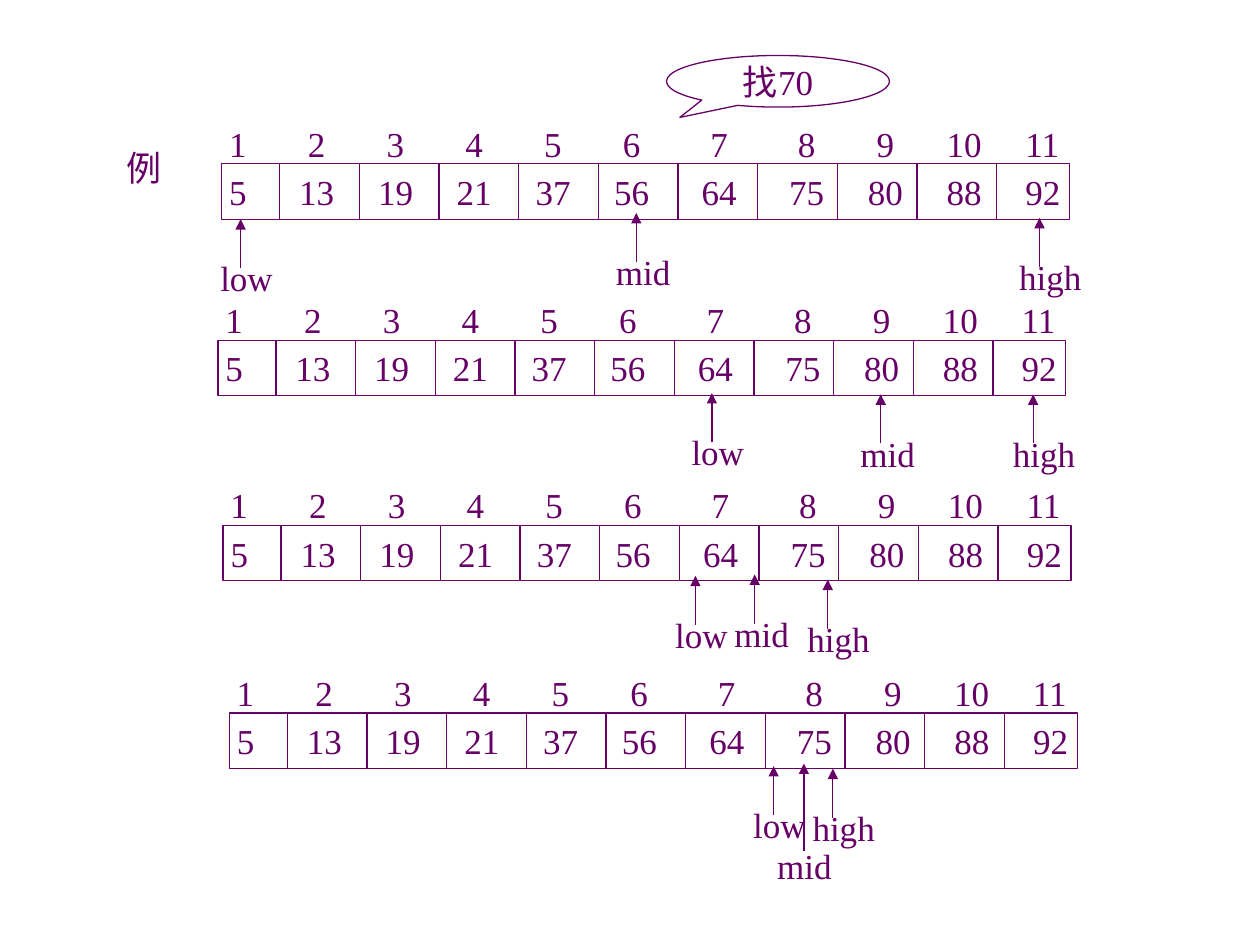
"""Build a slide that traces a binary search for 70 in a sorted array."""

import dataclasses
import itertools
import typing

import lxml.etree
import pptx
import pptx.dml.color
import pptx.enum.shapes
import pptx.enum.text
import pptx.oxml.ns
import pptx.util

Inches = pptx.util.Inches
Shapes = pptx.enum.shapes.MSO_SHAPE
Align = pptx.enum.text.PP_ALIGN
Anchor = pptx.enum.text.MSO_ANCHOR


@dataclasses.dataclass(frozen=True)
class Theme:
    """Colour, font and line settings."""

    ink: pptx.dml.color.RGBColor = pptx.dml.color.RGBColor(0x66, 0x00, 0x66)
    face: str = "Times New Roman"
    size: pptx.util.Pt = pptx.util.Pt(20)
    line: pptx.util.Pt = pptx.util.Pt(0.75)


class Pointer(typing.NamedTuple):
    """An upward arrow with its label below."""

    name: str
    x: float
    tip: float
    length: float = 0.39
    label_dx: float = -0.26
    label_dy: float = -0.14


class Step(typing.NamedTuple):
    """One state of the search: array corner and its pointers."""

    left: float
    top: float
    pointers: tuple[Pointer, ...]


THEME = Theme()
INDEXES = [str(number) for number in range(1, 12)]
VALUES = ["5", "13", "19", "21", "37", "56", "64", "75", "80", "88", "92"]
INDEX_STEPS = [45, 45, 45, 45, 45, 50, 50, 45, 40, 45]
VALUE_STEPS = [40, 45, 45, 45, 45, 50, 50, 45, 45, 45]
ARRAY_WIDTH, ROW_HEIGHT = 6.73, 0.44
FIRST_DIVIDER, DIVIDER_GAP = 0.46, 5.69 / 9
LABEL_WIDTHS = {"low": 0.63, "mid": 0.65, "high": 0.71}

STEPS = [
    Step(1.76, 1.3, (Pointer("low", 1.91, 1.74), Pointer("high", 8.25, 1.73),
                     Pointer("mid", 5.05, 1.69))),
    Step(1.73, 2.7, (Pointer("low", 5.65, 3.12), Pointer("high", 8.2, 3.13),
                     Pointer("mid", 6.99, 3.13))),
    Step(1.77, 4.17, (Pointer("low", 5.52, 4.57), Pointer("high", 6.57, 4.6),
                      Pointer("mid", 5.99, 4.56))),
    Step(1.82, 5.66, (Pointer("low", 6.14, 6.08), Pointer("high", 6.61, 6.1),
                      Pointer("mid", 6.38, 6.06, 0.69, -0.31, -0.1))),
]


def write_text(box, text: str, frame_format: dict, align=Align.LEFT, steps=()) -> None:
    """Fill a box with one styled line, with tab stops at the running sum of steps."""
    frame = box.text_frame
    for name, value in frame_format.items():
        setattr(frame, name, value)
    para = frame.paragraphs[0]
    para.alignment = align
    if steps:
        tabs = lxml.etree.SubElement(
            para._p.get_or_add_pPr(), pptx.oxml.ns.qn("a:tabLst"))
        for stop in itertools.accumulate(steps):
            lxml.etree.SubElement(tabs, pptx.oxml.ns.qn("a:tab"),
                                  pos=str(int(pptx.util.Pt(stop))), algn="l")
    span = para.add_run()
    span.text = text
    for name, value in {"name": THEME.face, "size": THEME.size}.items():
        setattr(span.font, name, value)
    span.font.color.rgb = THEME.ink


def draw_text(group, text: str, left: float, top: float, width: float,
              wrap: bool = False, steps=()) -> None:
    """Draw a plain text box."""
    box = group.shapes.add_textbox(
        Inches(left), Inches(top), Inches(width), Inches(ROW_HEIGHT))
    frame_format = {"word_wrap": wrap,
                    "auto_size": pptx.enum.text.MSO_AUTO_SIZE.SHAPE_TO_FIT_TEXT}
    write_text(box, text, frame_format, steps=steps)


def draw_outline(group, kind, left: float, top: float, width: float, height: float):
    """Draw an unfilled preset shape and return it."""
    shape = group.shapes.add_shape(
        kind, Inches(left), Inches(top), Inches(width), Inches(height))
    shape.shadow.inherit = False
    shape.fill.background()
    shape.line.color.rgb = THEME.ink
    shape.line.width = THEME.line
    return shape


def draw_line(group, x: float, start: float, end: float, arrow: bool = False) -> None:
    """Draw a vertical line, with an arrowhead at its end if asked."""
    line = group.shapes.add_connector(
        pptx.enum.shapes.MSO_CONNECTOR.STRAIGHT,
        Inches(x), Inches(start), Inches(x), Inches(end))
    line.line.color.rgb = THEME.ink
    line.line.width = THEME.line
    properties = line._element.spPr
    if arrow:
        lxml.etree.SubElement(properties.find(pptx.oxml.ns.qn("a:ln")),
                              pptx.oxml.ns.qn("a:tailEnd"), type="triangle")
    lxml.etree.SubElement(properties, pptx.oxml.ns.qn("a:effectLst"))


def draw_pointer(group, pointer: Pointer) -> None:
    """Draw a pointer arrow and its label."""
    tail = pointer.tip + pointer.length
    draw_line(group, pointer.x, tail, pointer.tip, arrow=True)
    draw_text(group, pointer.name, pointer.x + pointer.label_dx,
              tail + pointer.label_dy, LABEL_WIDTHS[pointer.name])


def draw_step(group, step: Step) -> None:
    """Draw the indexes, the array cells and the pointers of one step."""
    draw_text(group, "\t".join(INDEXES), step.left - 0.04, step.top - 0.38, 6.81,
              wrap=True, steps=INDEX_STEPS)
    array = draw_outline(group, Shapes.RECTANGLE, step.left, step.top,
                         ARRAY_WIDTH, ROW_HEIGHT)
    frame_format = {"word_wrap": True, "vertical_anchor": Anchor.MIDDLE,
                    "margin_left": Inches(0.06), "margin_right": 0}
    write_text(array, "\t".join(VALUES), frame_format, steps=VALUE_STEPS)
    for number in range(len(VALUES) - 1):
        draw_line(group, step.left + FIRST_DIVIDER + number * DIVIDER_GAP,
                  step.top, step.top + ROW_HEIGHT)
    for pointer in step.pointers:
        draw_pointer(group, pointer)


def draw_callout(group, text: str) -> None:
    """Draw the speech bubble that names the value sought."""
    bubble = draw_outline(group, Shapes.OVAL_CALLOUT, 5.29, 0.44, 1.77, 0.41)
    bubble.adjustments[0] = -0.44
    bubble.adjustments[1] = 0.7
    write_text(bubble, text, {"word_wrap": False, "vertical_anchor": Anchor.MIDDLE},
               Align.CENTER)


def main() -> None:
    """Build and save the deck."""
    deck = pptx.Presentation()
    deck.slide_width, deck.slide_height = Inches(10), Inches(7.5)
    page = deck.slides.add_slide(deck.slide_layouts[6])
    groups = [page.shapes.add_group_shape() for _ in STEPS]
    draw_text(groups[0], "例", 0.91, 1.11, 0.54)
    for group, step in zip(groups, STEPS):
        draw_step(group, step)
    draw_callout(groups[0], "找70")
    deck.save("out.pptx")


if __name__ == "__main__":
    main()
